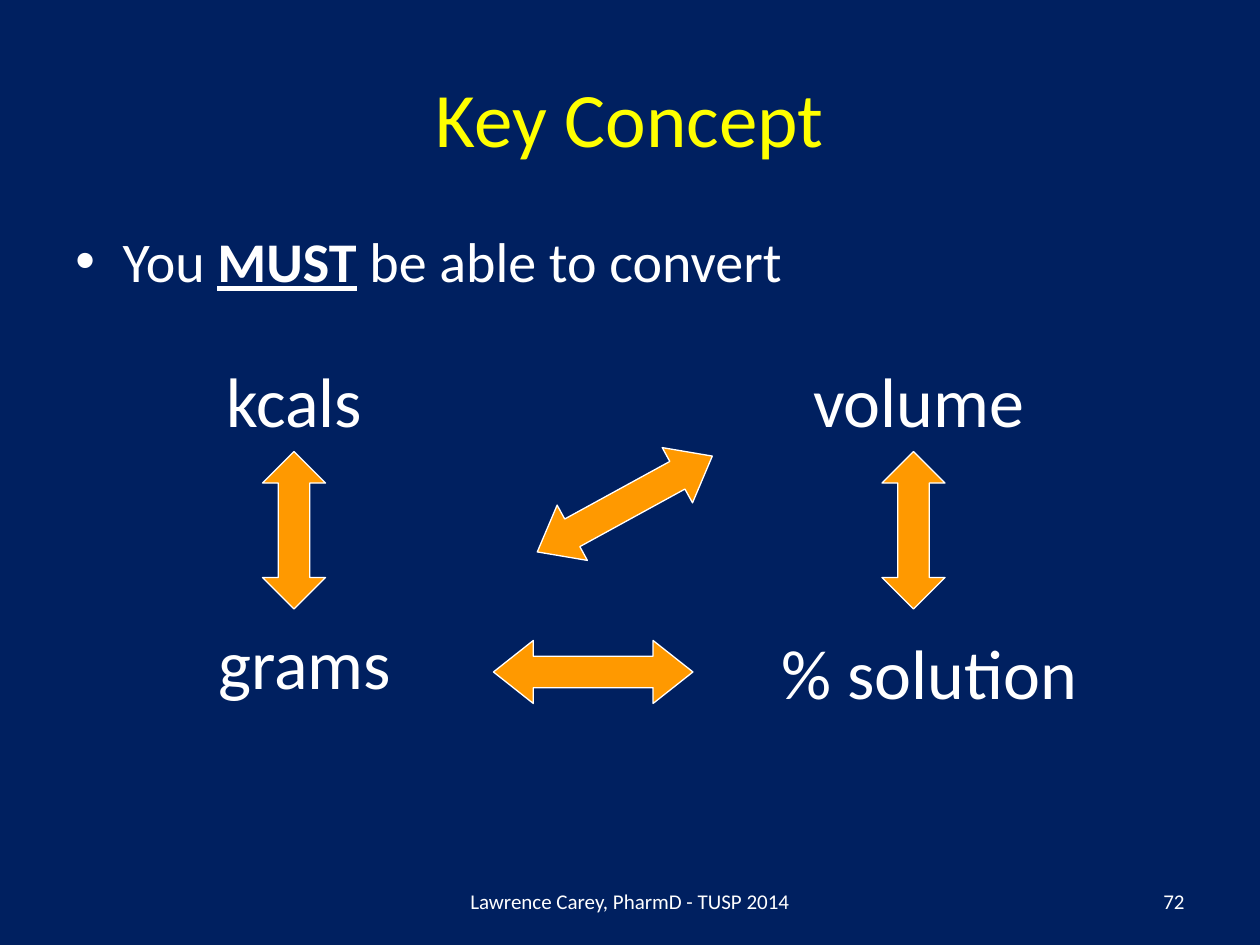
import pptx
import pptx.dml.color
import pptx.enum.shapes
import pptx.enum.text
import pptx.oxml
import pptx.oxml.ns
import pptx.util

ALIGN = pptx.enum.text.PP_ALIGN
ANCHOR = pptx.enum.text.MSO_ANCHOR
CELL = pptx.util.Inches(1) / 12
WHITE, YELLOW, ORANGE, NAVY = "FFFFFF", "FFFF00", "FF9900", "002060"


def colour(value):
    return pptx.dml.color.RGBColor.from_string(value)


def grid(*cells):
    return [round(cell * CELL) for cell in cells]


def apply(target, formats):
    for name, value in formats.items():
        setattr(target, name, value)


def paint(fill, value):
    fill.solid()
    fill.fore_color.rgb = colour(value)


def write(frame, runs, size, hue=WHITE, align=ALIGN.CENTER, anchor=ANCHOR.MIDDLE, wrap=True):
    apply(frame, {"word_wrap": wrap, "vertical_anchor": anchor,
                  "auto_size": pptx.enum.text.MSO_AUTO_SIZE.NONE})
    paragraph = frame.paragraphs[0]
    paragraph.alignment = align
    for words, emphasis in runs:
        run = paragraph.add_run()
        run.text = words
        apply(run.font, {"name": "Calibri", "size": pptx.util.Pt(size),
                         "bold": emphasis, "underline": emphasis})
        run.font.color.rgb = colour(hue)
    return paragraph


def label(slide, box, words, size, **options):
    frame = slide.shapes.add_textbox(*grid(*box)).text_frame
    write(frame, [(words, False)], size, **options)


def heading(slide, box):
    title = slide.shapes.title
    apply(title, dict(zip(("left", "top", "width", "height"), grid(*box))))
    write(title.text_frame, [("Key Concept", False)], 44, YELLOW)


def statement(slide, box):
    frame = slide.shapes.add_textbox(*grid(*box)).text_frame
    runs = [("You ", False), ("MUST", True), (" be able to convert", False)]
    paragraph = write(frame, runs, 32, align=ALIGN.LEFT, anchor=ANCHOR.TOP)
    properties = paragraph._p.get_or_add_pPr()
    indent = grid(4.5)[0]
    properties.set("marL", str(indent))
    properties.set("indent", str(-indent))
    namespace = pptx.oxml.ns.nsdecls("a")
    for bullet in ('buFont {} typeface="Arial"', 'buChar {} char="•"'):
        properties.append(pptx.oxml.parse_xml(f"<a:{bullet.format(namespace)}/>"))


def double_arrow(slide, box, head, rotation):
    kind = pptx.enum.shapes.MSO_SHAPE.LEFT_RIGHT_ARROW
    arrow = slide.shapes.add_shape(kind, *grid(*box))
    arrow.adjustments[0] = 0.5
    arrow.adjustments[1] = head
    arrow.rotation = rotation
    arrow.shadow.inherit = False
    paint(arrow.fill, ORANGE)
    paint(arrow.line.fill, WHITE)
    arrow.line.width = pptx.util.Pt(0.75)


def conversions(slide, box):
    left, top, width, height = box
    right = left + width
    bottom = top + height
    row, narrow, wide = 10, 26, 33
    quantities = [
        ("kcals", left, top, narrow),
        ("grams", left + 1, bottom - row - 1, narrow),
        ("volume", right - wide - 1, top, wide),
        ("% solution", right - wide, bottom - row, wide),
    ]
    for words, x, y, span in quantities:
        label(slide, (x, y, span, row), words, 40, wrap=False)

    thick, long, short = 6, 19, 15
    double_arrow(slide, (left + 32, bottom - row + 2, long, thick), 0.633, 0)
    for centre in (left + 13, right - 18):
        double_arrow(slide, (centre - short / 2, top + 14.5, short, thick), 0.5, 90)
    double_arrow(slide, (left + 35, top + 12, long, thick), 0.633, 151.3)


def footer(slide, box):
    left, top, width, height = box
    label(slide, (left + 35, top, 38, height), "Lawrence Carey, PharmD - TUSP 2014", 12)
    label(slide, (left + width - 28, top, 28, height), "72", 12, align=ALIGN.RIGHT)


def main():
    deck = pptx.Presentation()
    deck.slide_width, deck.slide_height = grid(120, 90)
    slide = deck.slides.add_slide(deck.slide_layouts[5])
    paint(slide.background.fill, NAVY)
    heading(slide, (6, 3.6, 108, 15))
    statement(slide, (6, 21, 108, 59.4))
    conversions(slide, (15, 33, 90, 36))
    footer(slide, (6, 83.4, 108, 4.8))
    deck.save("out.pptx")


if __name__ == "__main__":
    main()
